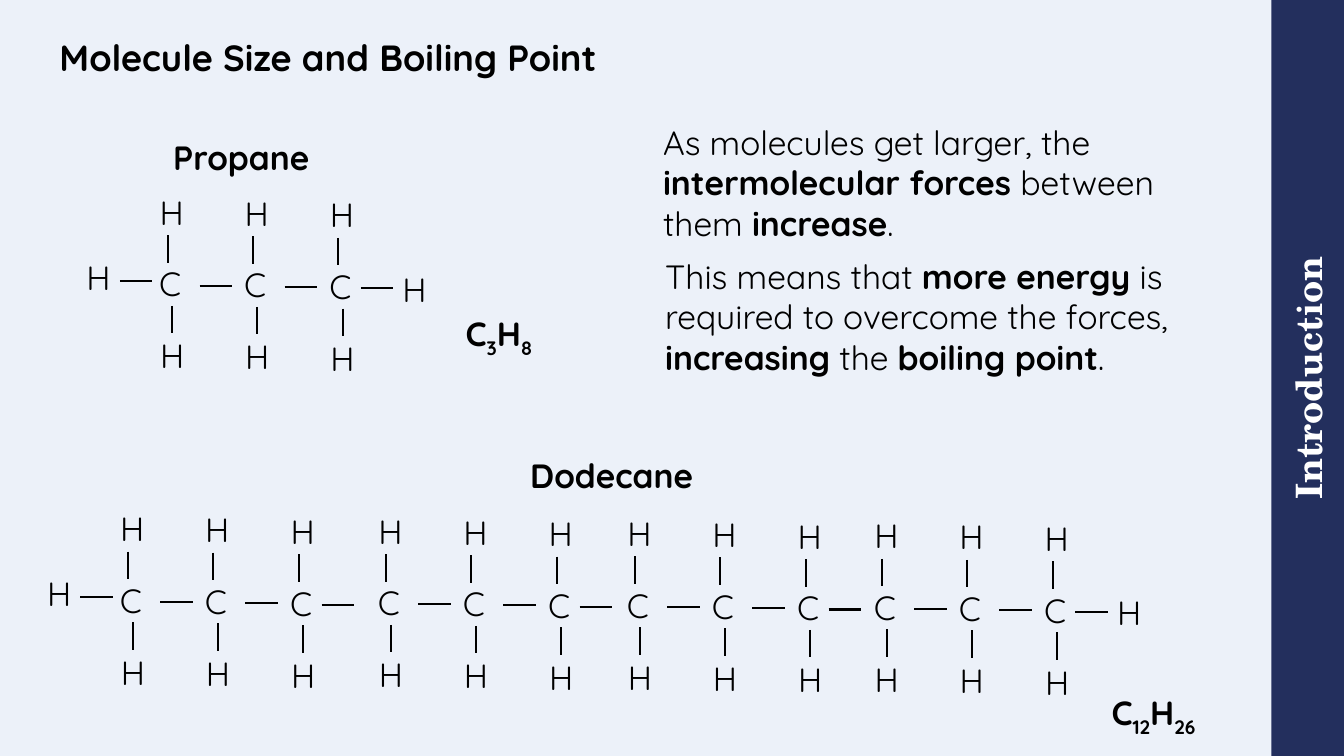
from pptx import Presentation
from pptx.dml.color import RGBColor
from pptx.enum.shapes import MSO_CONNECTOR as Connector, MSO_SHAPE as Shape
from pptx.enum.text import MSO_ANCHOR as Anchor, MSO_AUTO_SIZE as AutoSize, PP_ALIGN as Align
from pptx.oxml.ns import qn
from pptx.util import Inches, Pt
from lxml.etree import SubElement

COLUMNS, ROWS = 80, 45
CELL = Inches(7.5) // ROWS
COLORS = {"page": "ECF1F9", "band": "232F5D", "ink": "000000", "light": "FFFFFF"}
FONT, BAND_FONT = "Quicksand", "TeX Gyre Schola"
ATOM_SIZES = {"H": (2.58, 3), "C": (2.88, 3)}
CARBONS = [(0, 0), (5.06, 0.06), (10.14, 0.16)]
BOND = 1.93


def cells(*counts):
    return [round(count * CELL) for count in counts]


def color(name):
    return RGBColor.from_string(COLORS[name])


def set_font(para, size, name=FONT, ink="ink", bold=False):
    para.font.size = Pt(size)
    para.font.name = name
    para.font.bold = bold
    para.font.color.rgb = color(ink)


def clear_insets(frame):
    frame.margin_left = frame.margin_right = frame.margin_top = frame.margin_bottom = 0


def add_text(page, box, text, bold=False, wrap=False):
    frame = page.shapes.add_textbox(*cells(*box)).text_frame
    frame.word_wrap = wrap
    frame.auto_size = AutoSize.SHAPE_TO_FIT_TEXT
    para = frame.paragraphs[0]
    set_font(para, 24, bold=bold)
    for index, part in enumerate(text.split("*")):
        if part:
            span = para.add_run()
            span.text = part
            if index % 2:
                span.font.bold = True


def add_formula(page, box, text):
    add_text(page, box, "", bold=True)
    para = page.shapes[-1].text_frame.paragraphs[0]
    for index, part in enumerate(text.split("_")):
        if part:
            span = para.add_run()
            span.text = part
            if index % 2:
                span._r.get_or_add_rPr().set("baseline", "-25000")


def add_atom(page, left, top, symbol):
    add_text(page, (left, top, *ATOM_SIZES[symbol]), symbol)


def add_bond(page, left, top, across=0, down=0):
    ends = cells(left, top, left + across, top + down)
    bond = page.shapes.add_connector(Connector.STRAIGHT, *ends)
    bond.line.color.rgb = color("ink")
    bond.line.width = Pt(1.5)
    SubElement(bond._element.spPr, qn("a:effectLst"))


def add_carbon(page, left, top, bond_start):
    add_atom(page, left, top, "C")
    add_atom(page, left + 0.03, top - 4.27, "H")
    add_atom(page, left + 0.06, top + 4.28, "H")
    add_bond(page, left + 1.1, top - 1.38, down=1.64)
    add_bond(page, left + 1.38, top + 2.83, down=1.64)
    add_bond(page, left + bond_start, top + 1.62, across=BOND)


def add_molecule(page, groups):
    left, top = groups[0]
    add_atom(page, left - 4.32, top - 0.4, "H")
    add_bond(page, left - 1.75, top + 1.33, across=BOND)
    for left, top in groups:
        for across, down in CARBONS:
            bond_start = 2.46 if (across, down) == CARBONS[-1] else 3
            add_carbon(page, left + across, top + down, bond_start)
    across, down = CARBONS[-1]
    add_atom(page, left + across + 4.34, top + down + 0.15, "H")


def add_title(page, box, text):
    title = page.shapes.title
    title.left, title.top, title.width, title.height = cells(*box)
    frame = title.text_frame
    frame.text = text
    frame.vertical_anchor = Anchor.BOTTOM
    frame.auto_size = AutoSize.NONE
    clear_insets(frame)
    para = frame.paragraphs[0]
    para.alignment = Align.LEFT
    para.line_spacing = 0.9
    set_font(para, 26, bold=True)


def add_band(page, thickness, text):
    left = COLUMNS - (ROWS + thickness) / 2
    top = (ROWS - thickness) / 2
    band = page.shapes.add_shape(Shape.RECTANGLE, *cells(left, top, ROWS, thickness))
    band.rotation = 270
    band.shadow.inherit = False
    band.fill.solid()
    band.fill.fore_color.rgb = color("band")
    band.line.fill.background()
    frame = band.text_frame
    frame.text = text
    frame.vertical_anchor = Anchor.MIDDLE
    clear_insets(frame)
    para = frame.paragraphs[0]
    para.alignment = Align.CENTER
    set_font(para, 26, BAND_FONT, "light", True)


def build_page(deck):
    page = deck.slides.add_slide(deck.slide_layouts[5])
    page.background.fill.solid()
    page.background.fill.fore_color.rgb = color("page")
    add_band(page, 4.33, "Introduction")
    add_title(page, (3.54, 0, 69.66, 4.74), "Molecule Size and Boiling Point")

    add_text(page, (9.72, 7.86, 9.48, 3), "Propane", bold=True)
    add_molecule(page, [(8.88, 15.38)])
    add_formula(page, (27.12, 18.36, 5.7, 3), "C_3_H_8_")

    add_text(page, (30.96, 26.76, 11.7, 3), "Dodecane", bold=True)
    lefts = [6.54, 21.9, 36.72, 51.42]
    add_molecule(page, [(left, 34.22 + 0.14 * index) for index, left in enumerate(lefts)])
    add_formula(page, (65.58, 40.92, 7.2, 3), "C_12_H_26_")

    add_text(page, (38.88, 6.96, 32.76, 7.86),
             "As molecules get larger, the *intermolecular forces *between them *increase*.",
             wrap=True)
    add_text(page, (39, 14.94, 35.7, 7.86),
             "This means that *more energy *is required to overcome the forces, "
             "*increasing* the *boiling point*.", wrap=True)


def main():
    deck = Presentation()
    deck.slide_width, deck.slide_height = cells(COLUMNS, ROWS)
    build_page(deck)
    deck.save("out.pptx")


if __name__ == "__main__":
    main()
